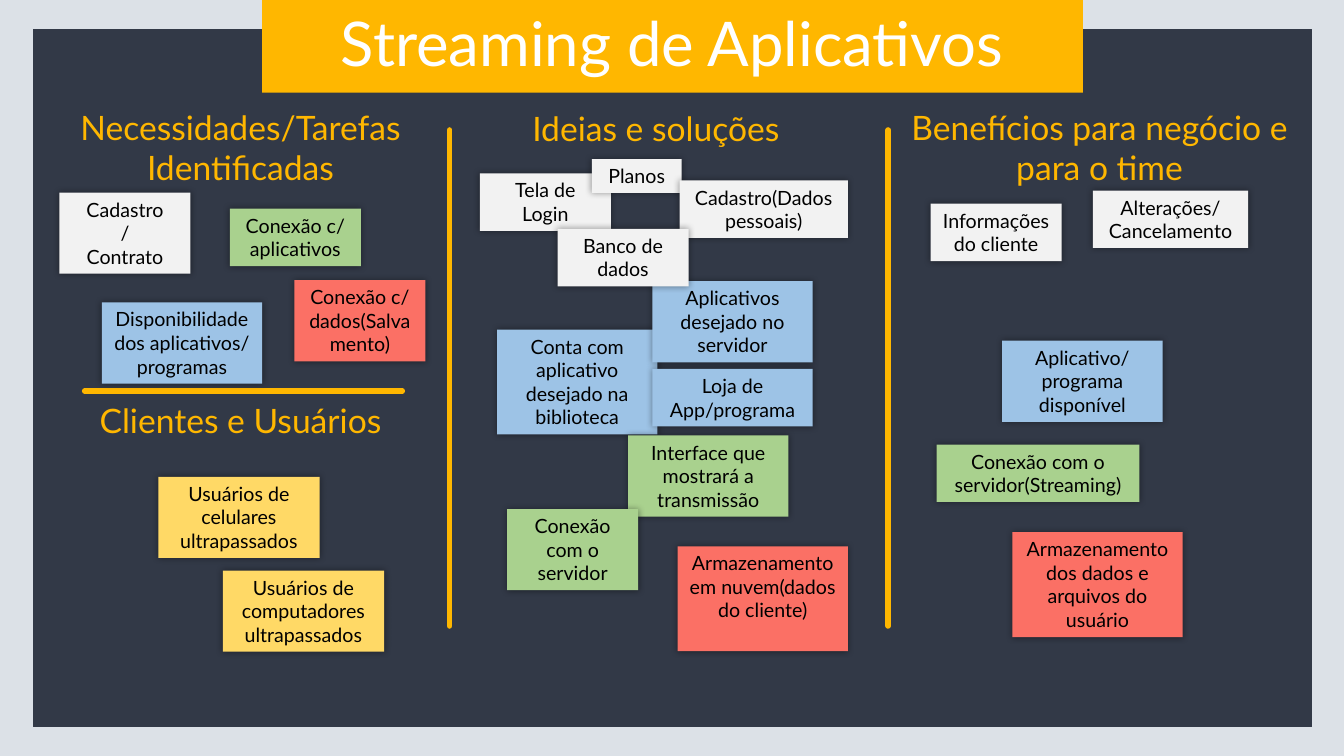
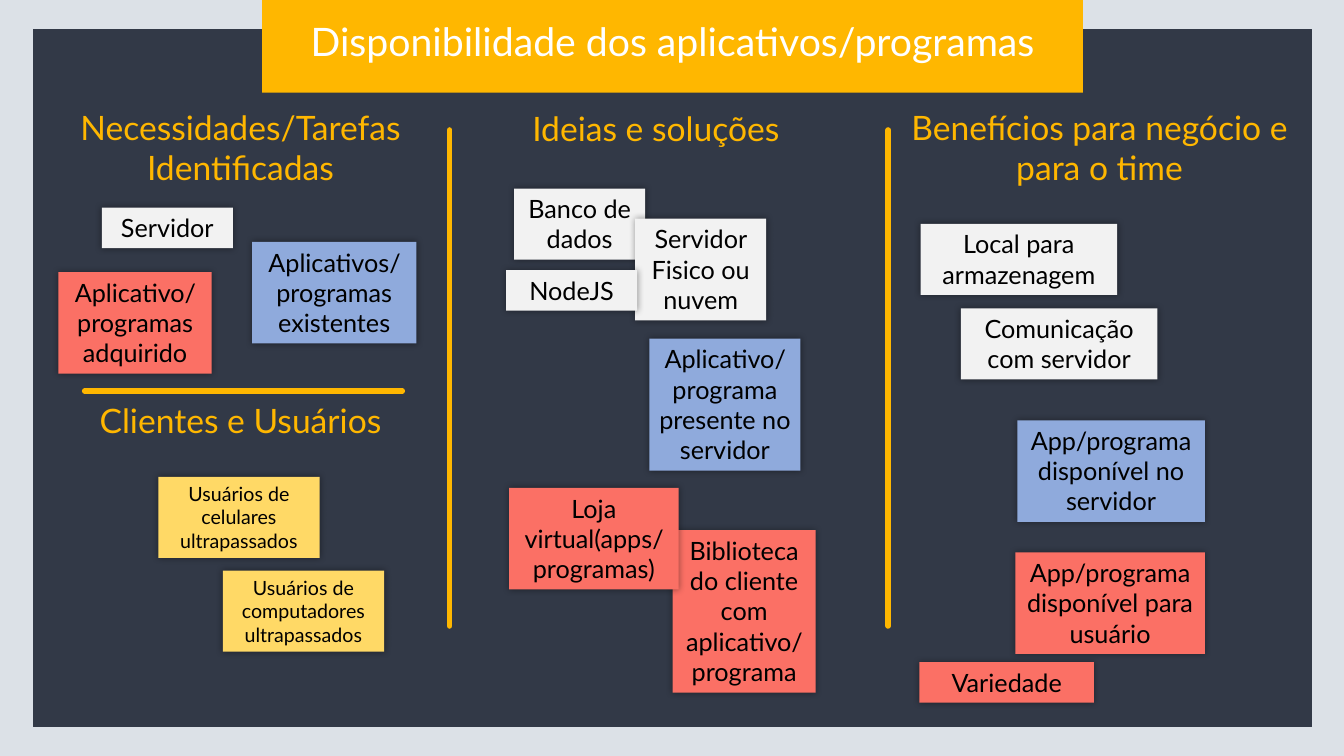
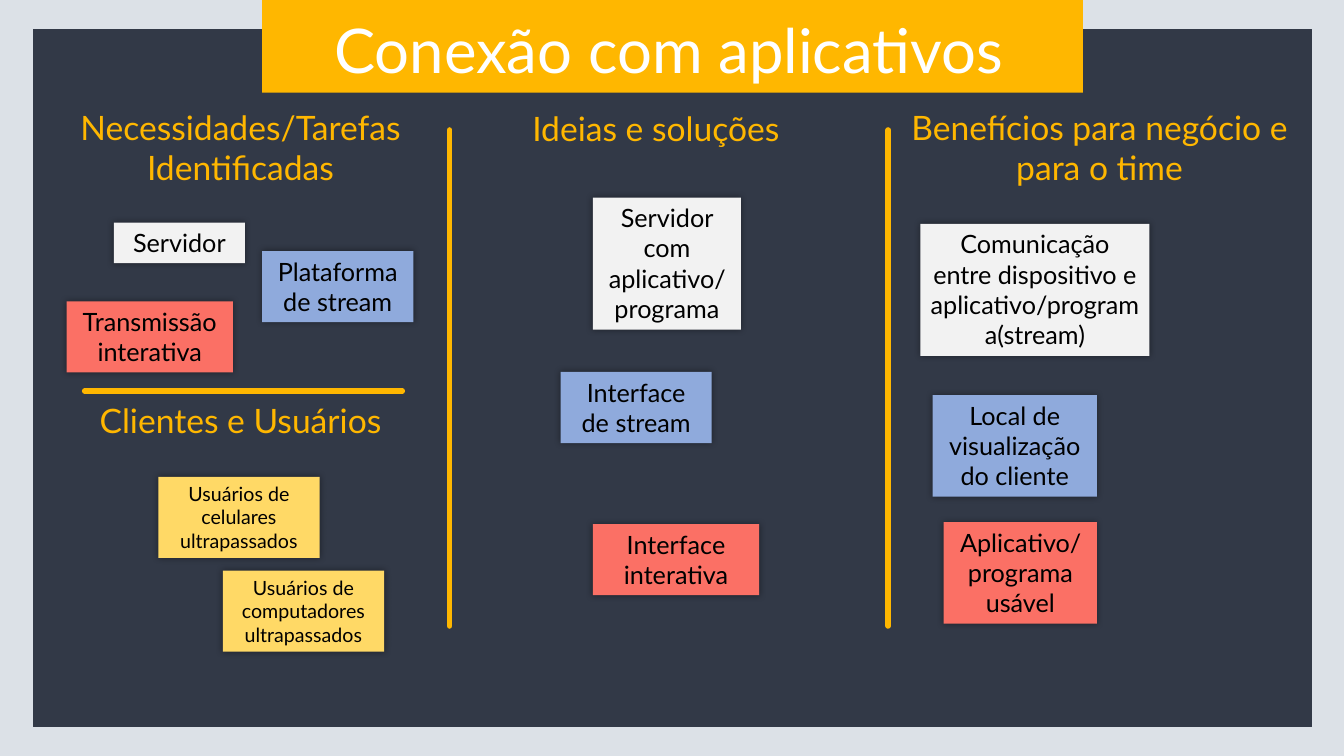
from lxml import etree
from pptx import Presentation, util as u
from pptx.dml.color import RGBColor
from pptx.enum import shapes, text
from pptx.oxml.ns import qn

FONT = "Lato"
BACKDROP, NAVY, AMBER, WHITE, BLACK = "DCE1E7", "323947", "FFB700", "FFFFFF", "000000"
GREY, SKY, BLUE, GREEN, RED, YELLOW = "F2F2F2", "9DC3E6", "8FAADC", "A9D18E", "FB7065", "FFD966"

PANEL = (0.33, 0.29, 12.68, 6.92)
BANNER = (2.6, 0, 8.14, 0.92)
HEADING_WIDTH = 4.25
HEADINGS = [
    ("Necessidades/Tarefas Identificadas", 2, 0.26, 1.01),
    ("Clientes e Usuários", 1, 0.26, 3.92),
    ("Ideias e soluções", 1, 4.38, 1.02),
    ("Benefícios para negócio e para o time", 2, 8.78, 1.01),
]
DIVIDERS = [
    (4.46, 1.29, 4.46, 6.21),
    (8.81, 1.29, 8.81, 6.21),
    (0.84, 3.88, 3.99, 3.88),
]
USERS = [
    ("Usuários de celulares ultrapassados", YELLOW, 3, 1.57, 4.73, 1.6),
    ("Usuários de computadores ultrapassados", YELLOW, 3, 2.21, 5.66, 1.6),
]
USER_SIZE = 14

BOARDS = [
    {
        "title": ("Streaming de Aplicativos", 44, 2.6, 0, 8.14),
        "note_size": 14,
        "notes": [
            ("Cadastro\n/\nContrato", GREY, 3, 0.59, 1.91, 1.3),
            ("Tela de Login", GREY, 2, 4.76, 1.72, 1.3),
            ("Planos", GREY, 1, 5.87, 1.58, 0.89),
            ("Informações do cliente", GREY, 2, 9.23, 2.02, 1.3),
            ("Alterações/\nCancelamento", GREY, 2, 10.84, 1.89, 1.54),
            ("Disponibilidade dos aplicativos/\nprogramas", SKY, 3, 1.01, 3, 1.59),
            ("Conexão c/ aplicativos", GREEN, 2, 2.28, 2.07, 1.3),
            ("Conta com aplicativo desejado na biblioteca", SKY, 4, 4.93, 3.27, 1.59),
            ("Aplicativos desejado no servidor", SKY, 3, 6.47, 2.79, 1.59),
            ("Interface que mostrará a transmissão", GREEN, 3, 6.23, 4.32, 1.59),
            ("Aplicativo/\nprograma disponível", SKY, 3, 9.94, 3.38, 1.59),
            ("Conexão com o servidor", GREEN, 3, 5.03, 5.05, 1.3),
            ("Armazenamento em nuvem(dados do cliente)", RED, 4, 6.72, 5.42, 1.69),
            ("Cadastro(Dados pessoais)", GREY, 2, 6.74, 1.79, 1.67),
            ("Armazenamento dos dados e arquivos do usuário", RED, 4, 10.04, 5.28, 1.69),
            ("Conexão com o servidor(Streaming)", GREEN, 2, 9.29, 4.41, 2.01),
            ("Conexão c/ dados(Salvamento)", RED, 3, 2.92, 2.78, 1.3),
            ("Banco de dados", GREY, 2, 5.53, 2.27, 1.3),
            ("Loja de App/programa", SKY, 2, 6.47, 3.66, 1.59),
        ],
    },
    {
        "title": ("Disponibilidade dos aplicativos/programas", 28, 2.6, 0.12, 8.14),
        "note_size": 18,
        "notes": [
            ("Servidor", GREY, 1, 1.01, 2.06, 1.3),
            ("Banco de dados", GREY, 2, 5.1, 1.87, 1.3),
            ("Local para armazenagem", GREY, 2, 9.13, 2.22, 1.95),
            ("Aplicativos/programas existentes", BLUE, 3, 2.5, 2.4, 1.63),
            ("Biblioteca do cliente com aplicativo/programa", RED, 5, 6.67, 5.26, 1.42),
            ("Aplicativo/programa presente no servidor", BLUE, 4, 6.44, 3.36, 1.5),
            ("Servidor Fisico ou nuvem", GREY, 3, 6.3, 2.17, 1.3),
            ("NodeJS", GREY, 1, 5.02, 2.68, 1.3),
            ("Comunicação com servidor", GREY, 2, 9.53, 3.06, 1.95),
            ("App/programa disponível no servidor", BLUE, 3, 10.09, 4.17, 1.86),
            ("Aplicativo/programas adquirido", RED, 3, 0.58, 2.7, 1.52),
            ("Loja virtual(apps/programas)", RED, 3, 5.05, 4.84, 1.68),
            ("App/programa disponível para usuário", RED, 3, 10.07, 5.48, 1.88),
            ("Variedade", RED, 1, 9.12, 6.57, 1.73),
        ],
    },
    {
        "title": ("Conexão com aplicativos", 44, 2.11, 0.07, 9.05),
        "note_size": 18,
        "notes": [
            ("Servidor", GREY, 1, 1.13, 2.21, 1.3),
            ("Servidor com aplicativo/programa", GREY, 4, 5.88, 1.96, 1.47),
            ("Transmissão interativa", RED, 2, 0.66, 2.99, 1.65),
            ("Plataforma de stream", BLUE, 2, 2.6, 2.49, 1.5),
            ("Comunicação entre dispositivo e aplicativo/programa(stream)", GREY, 4, 9.13, 2.22, 2.27),
            ("Interface de stream", BLUE, 2, 5.56, 3.69, 1.5),
            ("Local de visualização do cliente", BLUE, 3, 9.25, 3.92, 1.63),
            ("Interface interativa", RED, 2, 5.88, 5.2, 1.65),
            ("Aplicativo/programa usável", RED, 3, 9.36, 5.18, 1.52),
        ],
    },
]


def rgb(value):
    return RGBColor.from_string(value)


def inches(*values):
    return [u.Inches(value) for value in values]


def paint(target, color):
    target.fill.solid()
    target.fill.fore_color.rgb = rgb(color)


def text_height(lines, size):
    return 0.1 + lines * size * 1.21 / 72


def write(holder, words, size, color):
    frame = holder.text_frame
    frame.text = words
    frame.word_wrap = True
    frame.auto_size = text.MSO_AUTO_SIZE.SHAPE_TO_FIT_TEXT
    frame.vertical_anchor = text.MSO_ANCHOR.TOP
    for paragraph in frame.paragraphs:
        paragraph.alignment = text.PP_ALIGN.CENTER
        paragraph.font.name = FONT
        paragraph.font.size = u.Pt(size)
        paragraph.font.color.rgb = rgb(color)


def add_label(slide, words, lines, left, top, width, size, color):
    label = slide.shapes.add_textbox(*inches(left, top, width, text_height(lines, size)))
    write(label, words, size, color)
    return label


def add_note(slide, words, color, lines, left, top, width, size):
    note = add_label(slide, words, lines, left, top, width, size, BLACK)
    paint(note, color)
    effects = etree.SubElement(note._element.spPr, qn("a:effectLst"))
    shadow = etree.SubElement(effects, qn("a:outerShdw"), blurRad=str(u.Pt(5)), algn="ctr", rotWithShape="0")
    tint = etree.SubElement(shadow, qn("a:srgbClr"), val=BLACK)
    etree.SubElement(tint, qn("a:alpha"), val="40000")


def add_block(slide, place, color):
    block = slide.shapes.add_shape(shapes.MSO_SHAPE.RECTANGLE, *inches(*place))
    block.shadow.inherit = False
    paint(block, color)
    block.line.fill.background()
    return block


def add_divider(slide, ends):
    divider = slide.shapes.add_connector(shapes.MSO_CONNECTOR.STRAIGHT, *inches(*ends))
    divider.line.color.rgb = rgb(AMBER)
    divider.line.width = u.Pt(4)
    properties = divider._element.spPr
    properties.find(qn("a:ln")).set("cap", "rnd")
    etree.SubElement(properties, qn("a:effectLst"))


def add_frame(slide, words, size, left, top, width):
    panel = add_block(slide, PANEL, NAVY)
    panel.line.color.rgb = rgb(NAVY)
    panel.line.width = u.Pt(1)
    add_block(slide, BANNER, AMBER)
    title = slide.shapes.title
    title.left, title.top, title.width, title.height = inches(left, top, width, text_height(1, size))
    write(title, words, size, WHITE)
    slide.shapes._spTree.append(title._element)
    for ends in DIVIDERS:
        add_divider(slide, ends)
    for heading, lines, x, y in HEADINGS:
        add_label(slide, heading, lines, x, y, HEADING_WIDTH, 24, AMBER)


def main():
    prs = Presentation()
    prs.slide_width, prs.slide_height = inches(13.33, 7.5)
    paint(prs.slide_master.background, BACKDROP)
    for board in BOARDS:
        slide = prs.slides.add_slide(prs.slide_layouts.get_by_name("Title Only"))
        add_frame(slide, *board["title"])
        for note in board["notes"]:
            add_note(slide, *note, board["note_size"])
        for user in USERS:
            add_note(slide, *user, USER_SIZE)
    prs.save("out.pptx")


if __name__ == "__main__":
    main()
